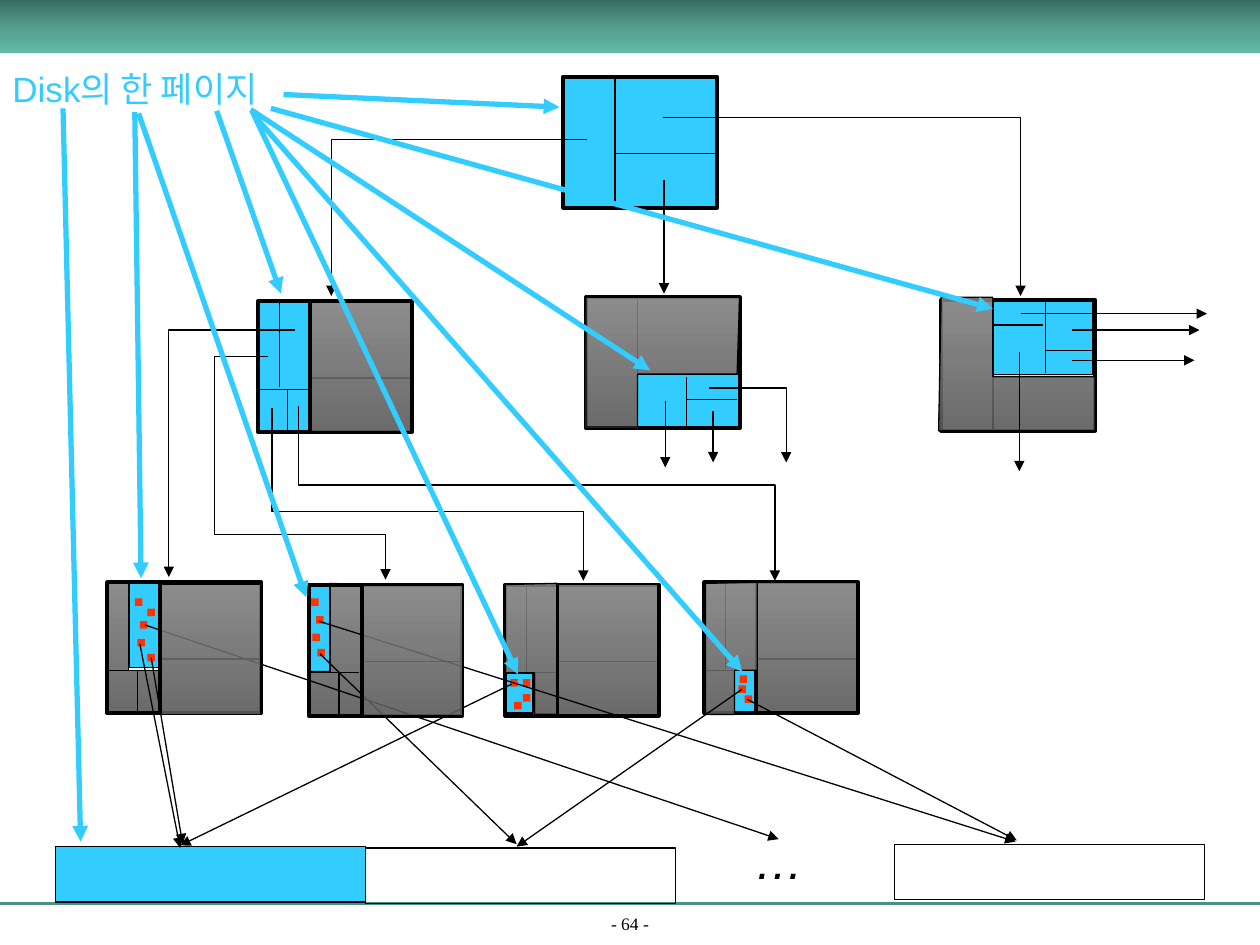
from lxml.etree import SubElement
from pptx import Presentation
from pptx.dml.color import RGBColor
from pptx.enum.shapes import MSO_CONNECTOR as Link, MSO_SHAPE as Preset
from pptx.enum.text import MSO_ANCHOR as Anchor, MSO_AUTO_SIZE as Fit, PP_ALIGN as Align
from pptx.oxml.ns import qn
from pptx.util import Pt

PX = 9144
BLACK, CYAN, RED = "000000", "33CCFF", "FF3300"
GREY = [(0, "808080"), (100, "5C5C5C")]
TEAL = [(0, "3A6D62"), (50, "539C8B"), (100, "62B9A5")]


def rgb(value):
    """Turn a hex string into a colour."""
    return RGBColor.from_string(value)


class Board:
    """Draws the parts of the tree on one slide."""

    def __init__(self, slide):
        self.slide = slide
        self.canvas = slide.shapes

    def stroke(self, part, color, width, arrow=False):
        """Set the outline and an optional arrowhead."""
        if not color:
            part.line.fill.background()
            return
        part.line.color.rgb = rgb(color)
        part.line.width = Pt(width)
        if arrow:
            SubElement(part.line._get_or_add_ln(), qn("a:tailEnd"), type="triangle")

    def paint(self, part, fill, alpha=100):
        """Apply no fill, a plain colour or a vertical gradient."""
        part.shadow.inherit = False
        if not fill:
            part.fill.background()
        elif isinstance(fill, str):
            part.fill.solid()
            part.fill.fore_color.rgb = rgb(fill)
        else:
            part.fill.gradient()
            part.fill.gradient_angle = 270
            stops = part._element.spPr.find(qn("a:gradFill")).find(qn("a:gsLst"))
            for stop in list(stops):
                stops.remove(stop)
            for position, color in fill:
                stop = SubElement(stops, qn("a:gs"), pos=str(position * 1000))
                tint = SubElement(stop, qn("a:srgbClr"), val=color)
                if alpha < 100:
                    SubElement(tint, qn("a:alpha"), val=str(alpha * 1000))

    def rect(self, left, top, width, height, fill=None, line=BLACK, weight=0.75, alpha=100):
        """Add a rectangle."""
        box = self.canvas.add_shape(Preset.RECTANGLE, left * PX, top * PX, width * PX, height * PX)
        self.paint(box, fill, alpha)
        self.stroke(box, line, weight)

    def line(self, x1, y1, x2, y2, color=BLACK, weight=0.75, arrow=False):
        """Add a straight line or arrow."""
        link = self.canvas.add_connector(Link.STRAIGHT, x1 * PX, y1 * PX, x2 * PX, y2 * PX)
        self.stroke(link, color, weight, arrow)
        SubElement(link._element.spPr, qn("a:effectLst"))

    def outline(self, points, closed):
        """Add a black outline through the points."""
        builder = self.canvas.build_freeform(*points[0], scale=PX)
        builder.add_line_segments(points[1:], close=closed)
        return builder.convert_to_shape()

    def region(self, *points):
        """Add a grey region that covers the inactive part of a node."""
        part = self.outline(points, True)
        self.paint(part, GREY, 90)
        self.stroke(part, BLACK, 0.75)

    def elbow(self, *points):
        """Add a bent pointer arrow."""
        part = self.outline(points, False)
        self.paint(part, None)
        self.stroke(part, BLACK, 0.75, True)

    def half(self, left, top):
        """Add the grey right part of a node."""
        self.rect(left, top, 79, 103, GREY, alpha=90)

    def node(self, left, top, fill=None, leaf=False, covered=False):
        """Add a grouped node with its split lines."""
        self.canvas = self.slide.shapes.add_group_shape().shapes
        self.rect(left, top, 122, 104, fill, weight=2.25)
        self.line(left + 41, top - 1, left + 41, top + 103)
        self.line(left + 41, top + 61, left + 122, top + 61)
        if leaf:
            self.rect(left + 42, top, 79, 103, GREY if covered else None, alpha=90)
            self.line(left, top + 70, left + 40, top + 70)
            self.line(left + 17, top, left + 17, top + 69)
            self.line(left + 24, top + 70, left + 24, top + 103)
        self.canvas = self.slide.shapes

    def text(self, words, left, top, width, height, size, color=BLACK, font="Arial",
             italic=None, footer=False):
        """Add a one-line text box."""
        frame = self.canvas.add_textbox(left * PX, top * PX, width * PX, height * PX).text_frame
        frame.word_wrap = footer
        frame.auto_size = Fit.NONE if footer else Fit.SHAPE_TO_FIT_TEXT
        if footer:
            frame.vertical_anchor = Anchor.BOTTOM
            frame.paragraphs[0].alignment = Align.CENTER
        run = frame.paragraphs[0].add_run()
        run.text = words
        run.font.name, run.font.size, run.font.italic = font, Pt(size), italic
        run.font.color.rgb = rgb(color)


def main():
    """Build and save the slide."""
    deck = Presentation()
    deck.slide_width, deck.slide_height = 1000 * PX, 750 * PX
    board = Board(deck.slides.add_slide(deck.slide_layouts[6]))

    board.line(0, 717, 1000, 717, "4C9282", 1.5)
    board.text("- 64 -", 0, 724, 1000, 22, 10, font="Times New Roman", footer=True)
    board.rect(0, 0, 1000, 42, TEAL, line=None)

    for page in [(583, 532, 16, 33), (401, 534, 22, 32), (788, 238, 79, 59), (506, 297, 80, 43),
                 (245, 465, 17, 68), (103, 462, 23, 68), (206, 239, 39, 104)]:
        board.rect(*page, CYAN)
    board.region((262, 463), (262, 533), (246, 533), (246, 568), (287, 568), (287, 464))
    board.region((85, 462), (85, 566), (127, 566), (127, 532), (102, 532), (102, 462))

    board.node(447, 61, CYAN)
    board.elbow((466, 111), (263, 111), (263, 235))
    board.line(527, 143, 527, 233, arrow=True)
    board.elbow((526, 93), (810, 93), (810, 235))

    board.node(465, 236)
    board.node(747, 238)
    board.region((465, 236), (465, 339), (506, 339), (506, 297), (585, 297), (587, 236))
    board.region((747, 236), (745, 342), (869, 342), (869, 299), (788, 299), (788, 236))
    board.node(205, 239)
    board.half(247, 240)
    for split in [(205, 309, 245, 309), (222, 239, 222, 307), (228, 309, 228, 342),
                  (545, 299, 545, 340), (545, 317, 585, 317), (830, 239, 830, 296),
                  (788, 258, 828, 258), (830, 278, 867, 278)]:
        board.line(*split)

    for left, top, covered in [(85, 462, False), (245, 464, False),
                               (401, 464, True), (559, 462, True)]:
        board.node(left, top, leaf=True, covered=covered)

    board.elbow((563, 308), (624, 308), (624, 367))
    board.elbow((234, 262), (134, 262), (134, 458))
    board.elbow((213, 283), (170, 283), (170, 424), (306, 424), (306, 460))
    board.elbow((237, 322), (237, 385), (615, 385), (615, 461))
    board.elbow((216, 324), (216, 406), (463, 406), (463, 461))
    for pointer in [(528, 318, 528, 371), (566, 326, 566, 367), (851, 262, 952, 262),
                    (851, 286, 948, 286), (810, 249, 958, 249), (809, 279, 809, 374)]:
        board.line(*pointer, arrow=True)
    board.region((401, 464), (401, 534), (424, 534), (424, 567), (442, 567), (442, 463))
    board.region((560, 463), (560, 567), (583, 567), (583, 532), (601, 532), (601, 462))

    for left, top in [(107, 475), (111, 493), (109, 507), (252, 515), (251, 489), (248, 503),
                      (117, 519), (247, 475), (117, 483), (405, 539), (591, 552), (587, 536),
                      (415, 551), (586, 544), (415, 539), (408, 557)]:
        board.rect(left, top, 6, 6, RED, line=None)

    for left, top, fill in [(44, 672, CYAN), (290, 673, None), (710, 670, None)]:
        board.rect(left, top, 246, 44, fill)
    board.text("…", 589, 654, 59, 57, 28, italic=True)
    for record in [(111, 511, 143, 673), (406, 543, 143, 671), (120, 522, 145, 670),
                   (115, 496, 618, 666), (589, 547, 410, 672), (254, 519, 410, 670),
                   (253, 493, 806, 668), (593, 555, 807, 667)]:
        board.line(*record, arrow=True)

    board.text("Disk의 한 페이지", 0, 49, 228, 43, 20, CYAN)
    callouts = [(225, 75, 444, 85), (172, 88, 223, 233), (107, 89, 112, 459), (50, 86, 64, 668),
                (199, 87, 516, 294), (110, 90, 243, 474), (200, 88, 411, 535),
                (202, 92, 589, 533), (215, 86, 788, 245)]
    board.half(128, 464)
    board.half(288, 465)
    for callout in callouts:
        board.line(*callout, CYAN, 3, arrow=True)
    deck.save("out.pptx")


if __name__ == "__main__":
    main()
